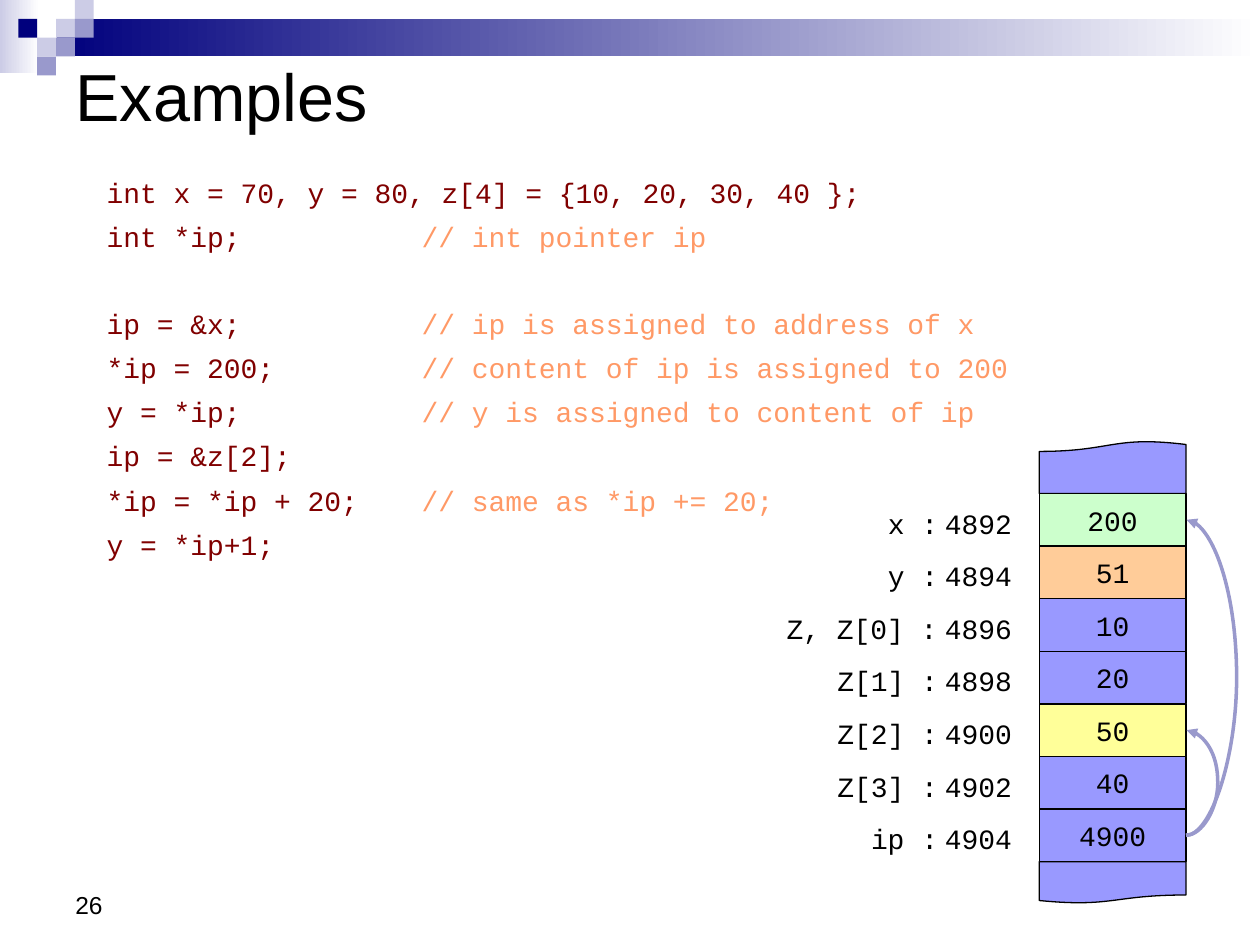
from lxml.etree import SubElement
from pptx import Presentation
from pptx.dml.color import RGBColor
from pptx.enum.shapes import MSO_CONNECTOR, MSO_SHAPE
from pptx.enum.text import MSO_ANCHOR, MSO_AUTO_SIZE, PP_ALIGN
from pptx.oxml.ns import qn
from pptx.util import Cm, Pt

BLACK = RGBColor(0x00, 0x00, 0x00)
WHITE = RGBColor(0xFF, 0xFF, 0xFF)
NAVY = RGBColor(0x00, 0x00, 0x7D)
LILAC = RGBColor(0xCC, 0xCC, 0xE6)
LAVENDER = RGBColor(0x99, 0x99, 0xCC)
BLUE = RGBColor(0x99, 0x99, 0xFF)
GREEN = RGBColor(0xCC, 0xFF, 0xCC)
ORANGE = RGBColor(0xFF, 0xCC, 0x99)
YELLOW = RGBColor(0xFF, 0xFF, 0x99)
MAROON = RGBColor(0x80, 0x00, 0x00)
CORAL = RGBColor(0xFF, 0x99, 0x66)

MONO = "Courier New"
SQUARE = 0.38
MEMORY_LEFT, MEMORY_TOP, MEMORY_WIDTH = 20.95, 9.95, 2.96
ROW = 1.06
LABEL_RIGHT = 19.18
CHARACTER = 0.34

SQUARES = [(2, 1, LILAC), (3, 0, LILAC), (3, 1, LAVENDER), (1, 2, LILAC),
           (0, 1, NAVY), (2, 2, LAVENDER), (1, 3, LAVENDER)]
MEMORY = [("x :", "4892", "200", GREEN), ("y :", "4894", "51", ORANGE),
          ("Z, Z[0] :", "4896", "10", BLUE), ("Z[1] :", "4898", "20", BLUE),
          ("Z[2] :", "4900", "50", YELLOW), ("Z[3] :", "4902", "40", BLUE),
          ("ip :", "4904", "4900", BLUE)]
DECLARATIONS = [("int x = 70, y = 80, z[4] = {10, 20, 30, 40 };", ""),
                ("int *ip;", "// int pointer ip")]
STATEMENTS = [("ip = &x;", "// ip is assigned to address of x"),
              ("*ip = 200;", "// content of ip is assigned to 200"),
              ("y = *ip;", "// y is assigned to content of ip"),
              ("ip = &z[2];", ""),
              ("*ip = *ip + 20;", "// same as *ip += 20;"),
              ("y = *ip+1;", "")]


def add_span(para, text, size=16, font=MONO, color=BLACK):
    """Append formatted text to a paragraph."""
    span = para.add_run()
    span.text = text
    span.font.size = Pt(size)
    span.font.name = font
    span.font.color.rgb = color


def add_text(page, text, left, top, width, height, anchor=MSO_ANCHOR.TOP,
             wrap=False, **style):
    """Add a text box holding one line."""
    box = page.shapes.add_textbox(Cm(left), Cm(top), Cm(width), Cm(height))
    frame = box.text_frame
    frame.word_wrap = wrap
    frame.vertical_anchor = anchor
    add_span(frame.paragraphs[0], text, **style)


def add_block(page, left, top, width, height, color, end_color=None,
              kind=MSO_SHAPE.RECTANGLE, outlined=False):
    """Add a shape with a plain or left-to-right gradient fill."""
    block = page.shapes.add_shape(kind, Cm(left), Cm(top), Cm(width), Cm(height))
    block.shadow.inherit = False
    if end_color is None:
        block.fill.solid()
        block.fill.fore_color.rgb = color
    else:
        block.fill.gradient()
        block.fill.gradient_angle = 0
        for stop, shade in zip(block.fill.gradient_stops, (color, end_color)):
            stop.color.rgb = shade
    if outlined:
        block.line.color.rgb = BLACK
        block.line.width = Pt(0.75)
    else:
        block.line.fill.background()
    return block


def add_banner(page):
    """Add the gradient bars and the squares in the corner."""
    add_block(page, 0, 0, 0.79, 1.48, LILAC, WHITE)
    add_block(page, 1.14, SQUARE, 24.26, 2 * SQUARE, NAVY, WHITE)
    for column, row, color in SQUARES:
        add_block(page, 0.37 + column * SQUARE, row * SQUARE, SQUARE, SQUARE, color)


def add_title(page, text):
    """Place and format the title."""
    title = page.shapes.title
    title.left, title.top, title.width, title.height = Cm(1.27), Cm(0), Cm(22.86), Cm(3.81)
    frame = title.text_frame
    frame.auto_size = MSO_AUTO_SIZE.NONE
    frame.vertical_anchor = MSO_ANCHOR.MIDDLE
    frame.paragraphs[0].alignment = PP_ALIGN.LEFT
    add_span(frame.paragraphs[0], text, size=38, font="Arial")


def add_code(page):
    """Add the code with its comments aligned at a tab stop."""
    box = page.shapes.add_textbox(Cm(1.9), Cm(3.25), Cm(22.48), Cm(12.22))
    frame = box.text_frame
    frame.word_wrap = True
    for index, (code, comment) in enumerate(DECLARATIONS + STATEMENTS):
        para = frame.add_paragraph() if index else frame.paragraphs[0]
        para.line_spacing = 1.25
        para.space_after = Pt(1.3)
        if index == len(DECLARATIONS):
            para.space_before = Pt(24)
        if comment:
            stops = SubElement(para._p.get_or_add_pPr(), qn("a:tabLst"))
            SubElement(stops, qn("a:tab"), pos=str(Cm(6.35)), algn="l")
            code += "\t"
        add_span(para, code, color=MAROON)
        if comment:
            add_span(para, comment, color=CORAL)


def add_memory(page):
    """Add the memory column with its names and addresses."""
    torn = {"kind": MSO_SHAPE.FLOWCHART_DOCUMENT, "outlined": True}
    cap = add_block(page, MEMORY_LEFT, MEMORY_TOP - ROW, MEMORY_WIDTH, ROW, BLUE, **torn)
    cap.rotation = 180
    add_block(page, MEMORY_LEFT, MEMORY_TOP + len(MEMORY) * ROW, MEMORY_WIDTH, 0.84,
              BLUE, **torn)
    for row, (name, address, value, color) in enumerate(MEMORY):
        top = MEMORY_TOP + row * ROW
        width = 0.51 + len(name) * CHARACTER
        add_text(page, name, LABEL_RIGHT - width, top + 0.13, width, 0.94)
        add_text(page, address, 18.8, top + 0.13, 1.88, 0.94)
        cell = add_block(page, MEMORY_LEFT, top, MEMORY_WIDTH, ROW, color, outlined=True)
        frame = cell.text_frame
        frame.word_wrap = False
        frame.vertical_anchor = MSO_ANCHOR.MIDDLE
        frame.paragraphs[0].alignment = PP_ALIGN.CENTER
        add_span(frame.paragraphs[0], value)


def add_pointer(page, source, target, bulge):
    """Add a curved arrow from one memory row to another."""
    left, width = MEMORY_LEFT + MEMORY_WIDTH, 0.01
    start, end = (MEMORY_TOP + (row + 0.5) * ROW for row in (source, target))
    arrow = page.shapes.add_connector(MSO_CONNECTOR.CURVE, Cm(left), Cm(start),
                                      Cm(left + width), Cm(end))
    arrow.line.color.rgb = LAVENDER
    arrow.line.width = Pt(2)
    SubElement(arrow.line._get_or_add_ln(), qn("a:tailEnd"), type="triangle")
    properties = arrow._element.spPr
    SubElement(properties, qn("a:effectLst"))
    guides = properties.find(qn("a:prstGeom")).find(qn("a:avLst"))
    SubElement(guides, qn("a:gd"), name="adj1",
               fmla=f"val {round(bulge / width * 100000)}")


def main():
    """Build the slide and save it."""
    deck = Presentation()
    deck.slide_width, deck.slide_height = Cm(25.4), Cm(19.05)
    page = deck.slides.add_slide(deck.slide_layouts[5])
    add_banner(page)
    add_title(page, "Examples")
    add_text(page, "26", 1.27, 17.35, 5.92, 1.32, anchor=MSO_ANCHOR.BOTTOM,
             wrap=True, size=14, font="Arial")
    add_code(page)
    add_memory(page)
    add_pointer(page, 6, 0, 1.02)
    add_pointer(page, 6, 4, 0.64)
    deck.save("out.pptx")


if __name__ == "__main__":
    main()
